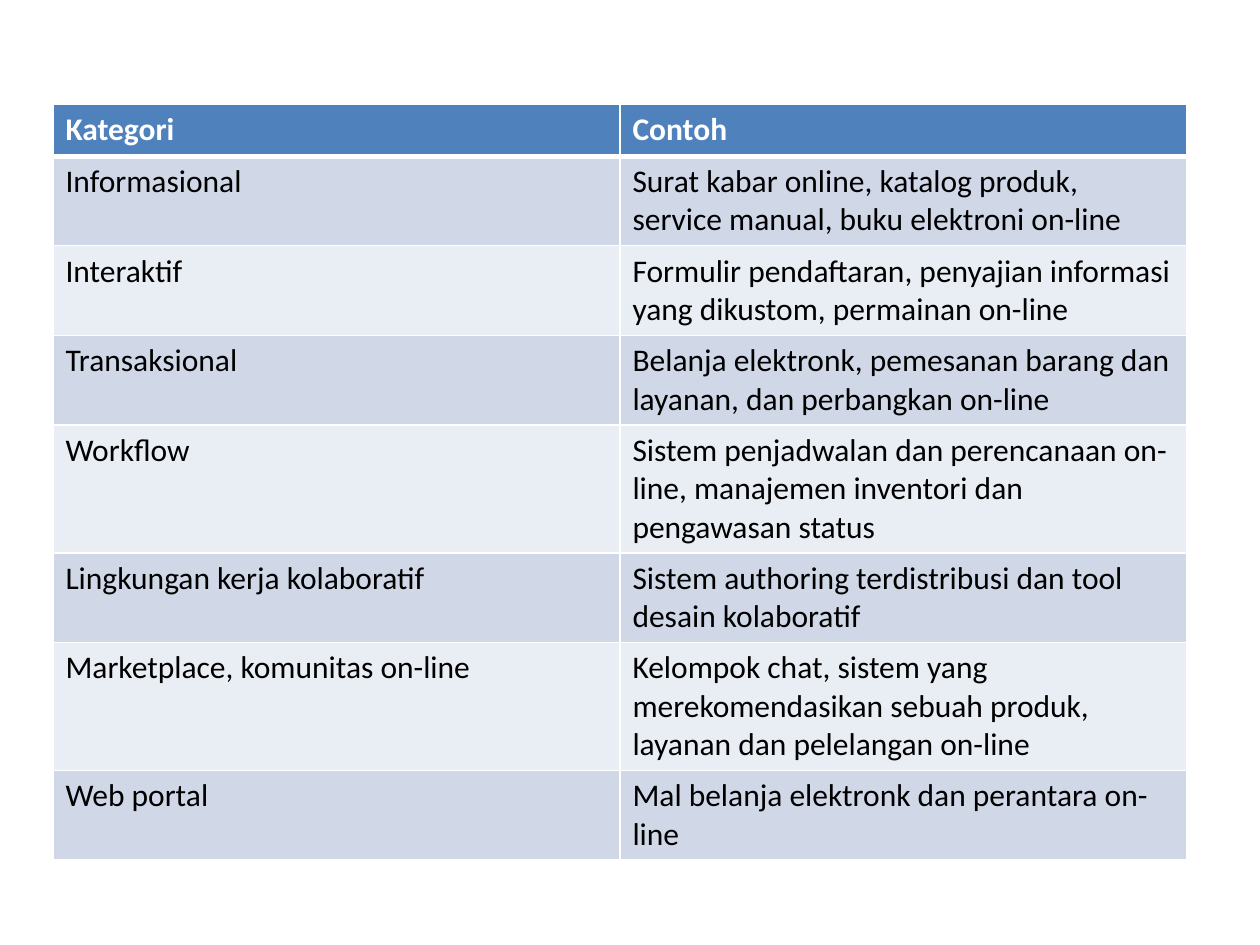
from dataclasses import dataclass
from lxml.etree import SubElement
from pptx import Presentation
from pptx.dml.color import RGBColor
from pptx.oxml.ns import qn
from pptx.util import Inches, Pt

ROWS = [
    ("Kategori", "Contoh"),
    ("Informasional",
     "Surat kabar online, katalog produk, service manual, buku elektroni on-line"),
    ("Interaktif",
     "Formulir pendaftaran, penyajian informasi yang dikustom, permainan on-line"),
    ("Transaksional",
     "Belanja elektronk, pemesanan barang dan layanan, dan perbangkan on-line"),
    ("Workflow",
     "Sistem penjadwalan dan perencanaan on-line, manajemen inventori dan "
     "pengawasan status"),
    ("Lingkungan kerja kolaboratif",
     "Sistem authoring terdistribusi dan tool desain kolaboratif"),
    ("Marketplace, komunitas on-line",
     "Kelompok chat, sistem yang merekomendasikan sebuah produk, layanan dan "
     "pelelangan on-line"),
    ("Web portal", "Mal belanja elektronk dan perantara on-line"),
]


@dataclass(frozen=True)
class Theme:
    """Colours, font and sizes of the slide."""
    font: str = "Calibri"
    size: int = 18
    head: str = "4F81BD"
    odd: str = "D0D8E8"
    even: str = "E9EDF4"
    white: str = "FFFFFF"
    black: str = "000000"
    thin: int = 1
    thick: int = 3


THEME = Theme()


def put_text(frame, text, color=THEME.black, size=THEME.size, bold=False):
    """Write one formatted run into a text frame."""
    run = frame.paragraphs[0].add_run()
    run.text = text
    run.font.name = THEME.font
    run.font.size = Pt(size)
    run.font.bold = bold
    run.font.color.rgb = RGBColor.from_string(color)


def add_edges(cell, top, bottom):
    """Draw white borders on all four sides of a cell."""
    props = cell._tc.get_or_add_tcPr()
    widths = {"lnL": THEME.thin, "lnR": THEME.thin, "lnT": top, "lnB": bottom}
    for side, width in widths.items():
        line = SubElement(props, qn(f"a:{side}"), w=str(Pt(width)))
        fill = SubElement(line, qn("a:solidFill"))
        SubElement(fill, qn("a:srgbClr"), val=THEME.white)


def style_cell(cell, row):
    """Give a cell the borders and fill of its row."""
    add_edges(cell,
              top=THEME.thick if row == 1 else THEME.thin,
              bottom=THEME.thick if row == 0 else THEME.thin)
    shade = THEME.head if row == 0 else THEME.odd if row % 2 else THEME.even
    cell.fill.solid()
    cell.fill.fore_color.rgb = RGBColor.from_string(shade)


def add_grid(slide, rows, left, top, width, height):
    """Add the table; rows grow to fit their wrapped text."""
    frame = slide.shapes.add_table(len(rows), len(rows[0]), Inches(left),
                                   Inches(top), Inches(width),
                                   Inches(height * len(rows)))
    for i, row in enumerate(rows):
        for j, text in enumerate(row):
            cell = frame.table.cell(i, j)
            style_cell(cell, i)
            put_text(cell.text_frame, text, bold=i == 0,
                     color=THEME.black if i else THEME.white)


deck = Presentation()
deck.slide_width, deck.slide_height = Inches(10), Inches(7.5)
page = deck.slides.add_slide(deck.slide_layouts[6])
add_grid(page, ROWS, left=0.42, top=0.83, width=9, height=0.41)
deck.save("out.pptx")
